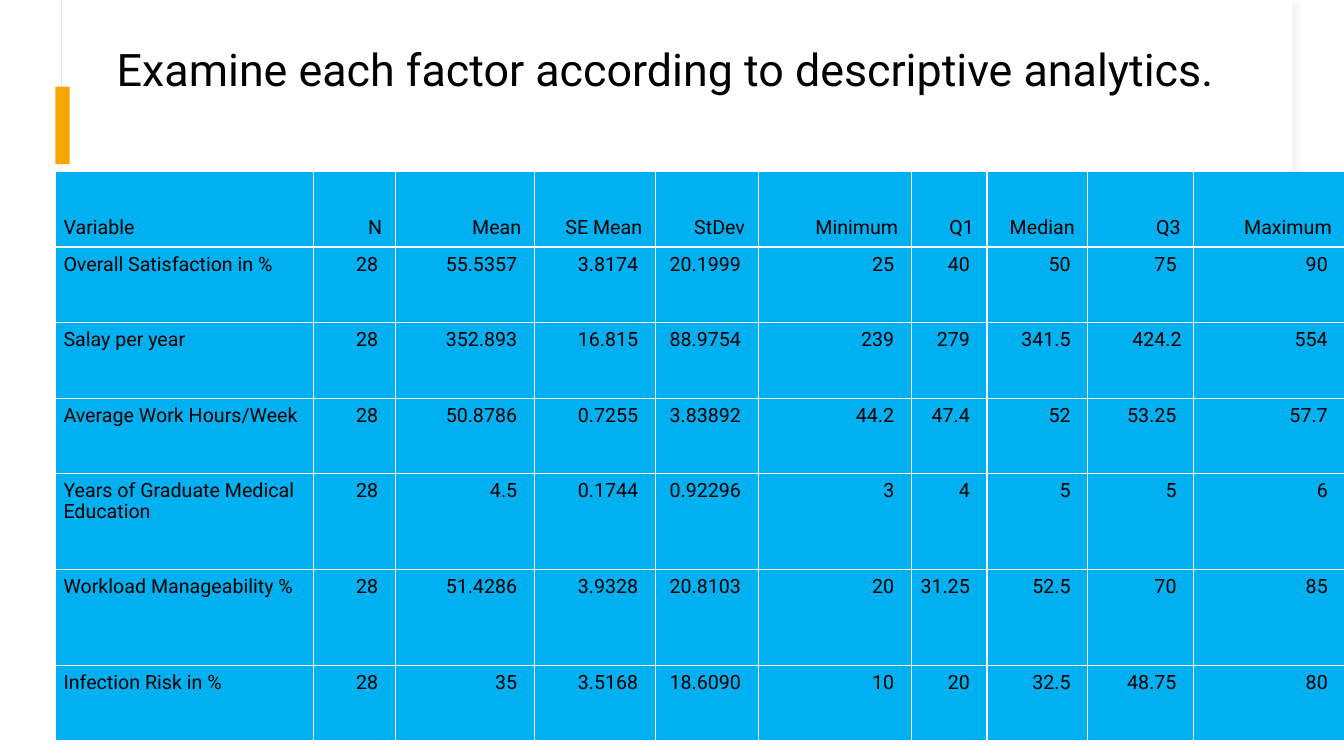
from lxml import etree
from pptx import Presentation
from pptx.dml.color import RGBColor
from pptx.enum.shapes import MSO_SHAPE
from pptx.enum.text import MSO_ANCHOR, PP_ALIGN
from pptx.oxml import parse_xml
from pptx.oxml.ns import nsdecls, qn
from pptx.util import Pt

RECTANGLE = MSO_SHAPE.RECTANGLE
TOP, MIDDLE, BOTTOM = MSO_ANCHOR.TOP, MSO_ANCHOR.MIDDLE, MSO_ANCHOR.BOTTOM
LEFT, RIGHT = PP_ALIGN.LEFT, PP_ALIGN.RIGHT

PX = 9144  # 100 px to the inch
FONT = "Roboto"
COLORS = {
    "white": "FFFFFF",
    "card_edge": "E9E9E9",
    "card_shadow": "D9D9D9",
    "accent": "F5A700",
    "cell": "00B0F0",
    "text": "000000",
}

TITLE = "Examine each factor according to descriptive analytics."
COLUMN_WIDTHS = [256, 81, 138, 120, 102, 152, 75, 100, 105, 150]
ROW_HEIGHTS = [75, 75, 75, 75, 95, 95, 75]
STATISTICS = [
    ["Variable", "N", "Mean", "SE Mean", "StDev", "Minimum", "Q1", "Median", "Q3", "Maximum"],
    ["Overall Satisfaction in %", "28", "55.5357", "3.8174", "20.1999", "25", "40", "50", "75", "90"],
    ["Salay per year", "28", "352.893", "16.815", "88.9754", "239", "279", "341.5", "424.2", "554"],
    ["Average Work Hours/Week", "28", "50.8786", "0.7255", "3.83892", "44.2", "47.4", "52", "53.25", "57.7"],
    ["Years of Graduate Medical Education", "28", "4.5", "0.1744", "0.92296", "3", "4", "5", "5", "6"],
    ["Workload Manageability %", "28", "51.4286", "3.9328", "20.8103", "20", "31.25", "52.5", "70", "85"],
    ["Infection Risk in %", "28", "35", "3.5168", "18.6090", "10", "20", "32.5", "48.75", "80"],
]


def color(name):
    return RGBColor.from_string(COLORS[name])


def scaled(*lengths):
    return [length * PX for length in lengths]


def format_paragraph(paragraph, size, spacing, align=LEFT):
    paragraph.alignment = align
    paragraph.line_spacing = spacing
    for run in paragraph.runs:
        run.font.name = FONT
        run.font.size = Pt(size)
        run.font.color.rgb = color("text")


def add_block(slide, box, fill, edge=None):
    block = slide.shapes.add_shape(RECTANGLE, *scaled(*box))
    block.shadow.inherit = False
    block.fill.solid()
    block.fill.fore_color.rgb = color(fill)
    if edge:
        block.line.color.rgb = color(edge)
        block.line.width = Pt(0.75)
    else:
        block.line.fill.background()
    return block


def add_soft_shadow(shape):
    effects = shape._element.spPr.find(qn("a:effectLst"))
    effects.append(parse_xml(
        f'<a:outerShdw {nsdecls("a")} blurRad="{Pt(4)}" dist="{Pt(3)}" dir="2700000">'
        f'<a:srgbClr val="{COLORS["card_shadow"]}"><a:alpha val="30000"/></a:srgbClr>'
        '</a:outerShdw>'))


def add_header_card(slide, box):
    left, top, width, height = box
    add_soft_shadow(add_block(slide, box, "white", "card_edge"))
    add_block(slide, (left + 1, top, width - 1, height - 1), "white")
    add_block(slide, (left - 6, top + 86, 14, 77), "accent")


def add_title(slide, box):
    title_box = slide.shapes.add_textbox(*scaled(*box))
    frame = title_box.text_frame
    frame.word_wrap = True
    frame.vertical_anchor = MIDDLE
    frame.text = TITLE
    format_paragraph(frame.paragraphs[0], 32, 0.9)


def add_borders(cell):
    properties = cell._tc.get_or_add_tcPr()
    for side in ("lnL", "lnR", "lnT", "lnB"):
        line = etree.SubElement(properties, qn(f"a:{side}"), w=str(Pt(1)))
        fill = etree.SubElement(line, qn("a:solidFill"))
        etree.SubElement(fill, qn("a:srgbClr"), val=COLORS["white"])


def right_inset(value, is_header, is_label):
    if is_label:
        return 8
    if is_header:
        return 13
    return 12 if value == "424.2" else 17


def fill_cell(cell, value, is_header, is_label):
    add_borders(cell)
    cell.fill.solid()
    cell.fill.fore_color.rgb = color("cell")
    cell.margin_left = (8 if is_label else 4) * PX
    cell.margin_right = right_inset(value, is_header, is_label) * PX
    cell.margin_top = cell.margin_bottom = 8 * PX
    cell.vertical_anchor = BOTTOM if is_header else TOP
    cell.text_frame.text = value
    format_paragraph(cell.text_frame.paragraphs[0], 14, Pt(15), LEFT if is_label else RIGHT)


def add_statistics_table(slide, left, top):
    box = scaled(left, top, sum(COLUMN_WIDTHS), sum(ROW_HEIGHTS))
    table = slide.shapes.add_table(len(STATISTICS), len(COLUMN_WIDTHS), *box).table
    table.first_row = table.horz_banding = False
    for column, width in zip(table.columns, COLUMN_WIDTHS):
        column.width = width * PX
    for row, height in zip(table.rows, ROW_HEIGHTS):
        row.height = height * PX
    for r, values in enumerate(STATISTICS):
        for c, value in enumerate(values):
            fill_cell(table.cell(r, c), value, r == 0, c == 0)


def main():
    presentation = Presentation()
    presentation.slide_width, presentation.slide_height = scaled(1333, 750)
    slide = presentation.slides.add_slide(presentation.slide_layouts[6])
    add_header_card(slide, (61, 0, 1221, 221))
    add_title(slide, (106, 37, 1150, 69))
    add_statistics_table(slide, 55, 170)
    presentation.save("out.pptx")


if __name__ == "__main__":
    main()
